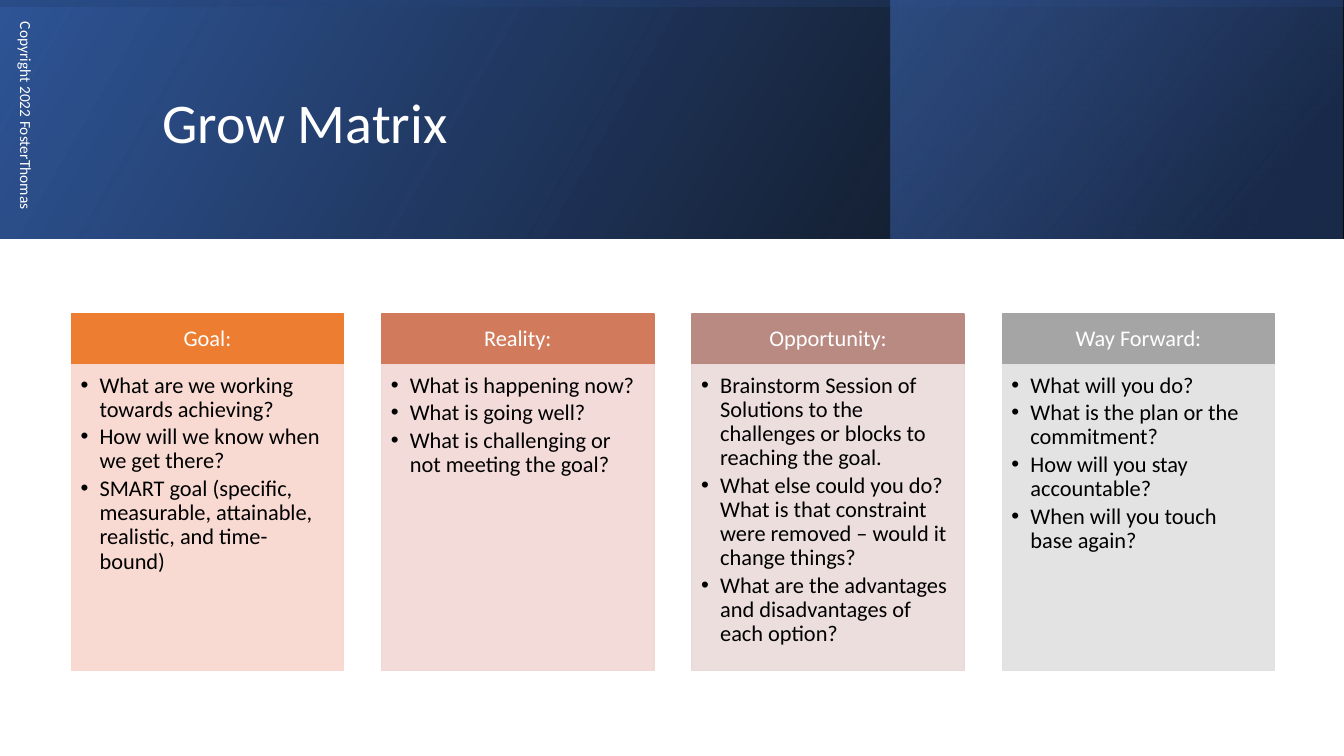
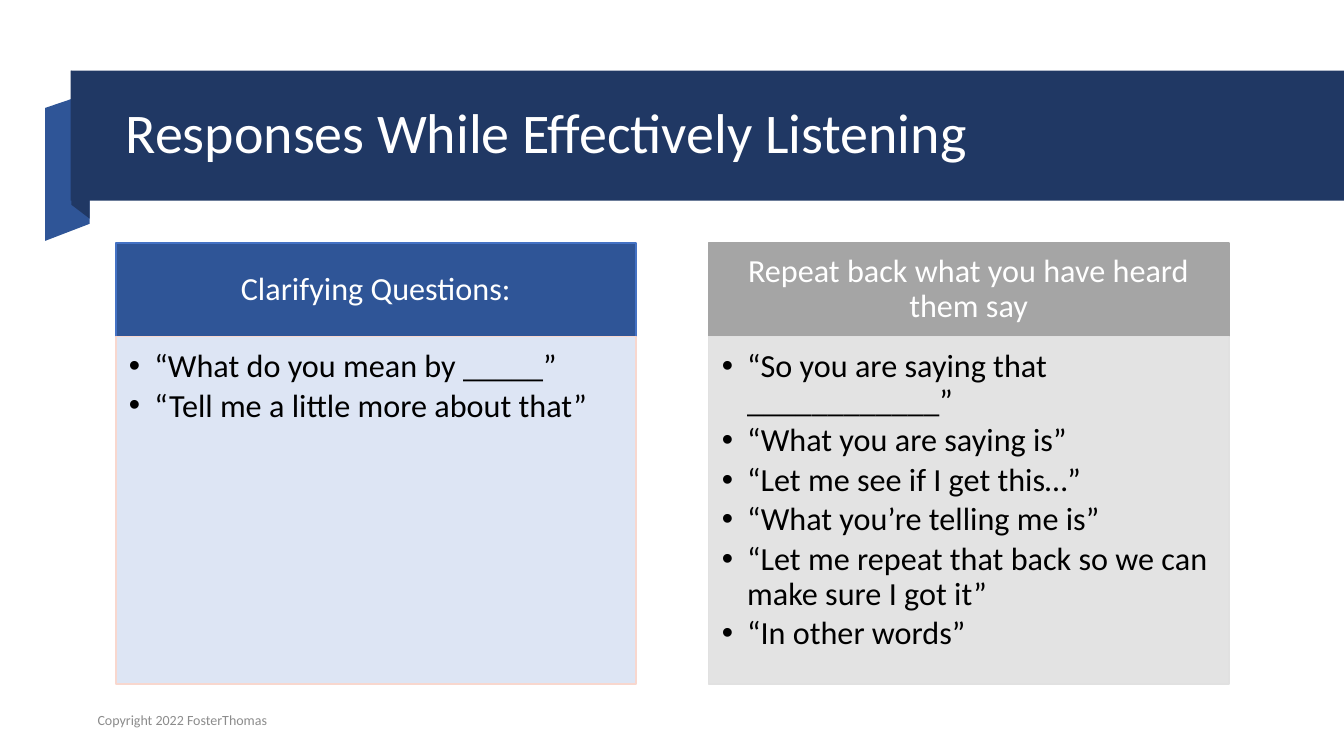
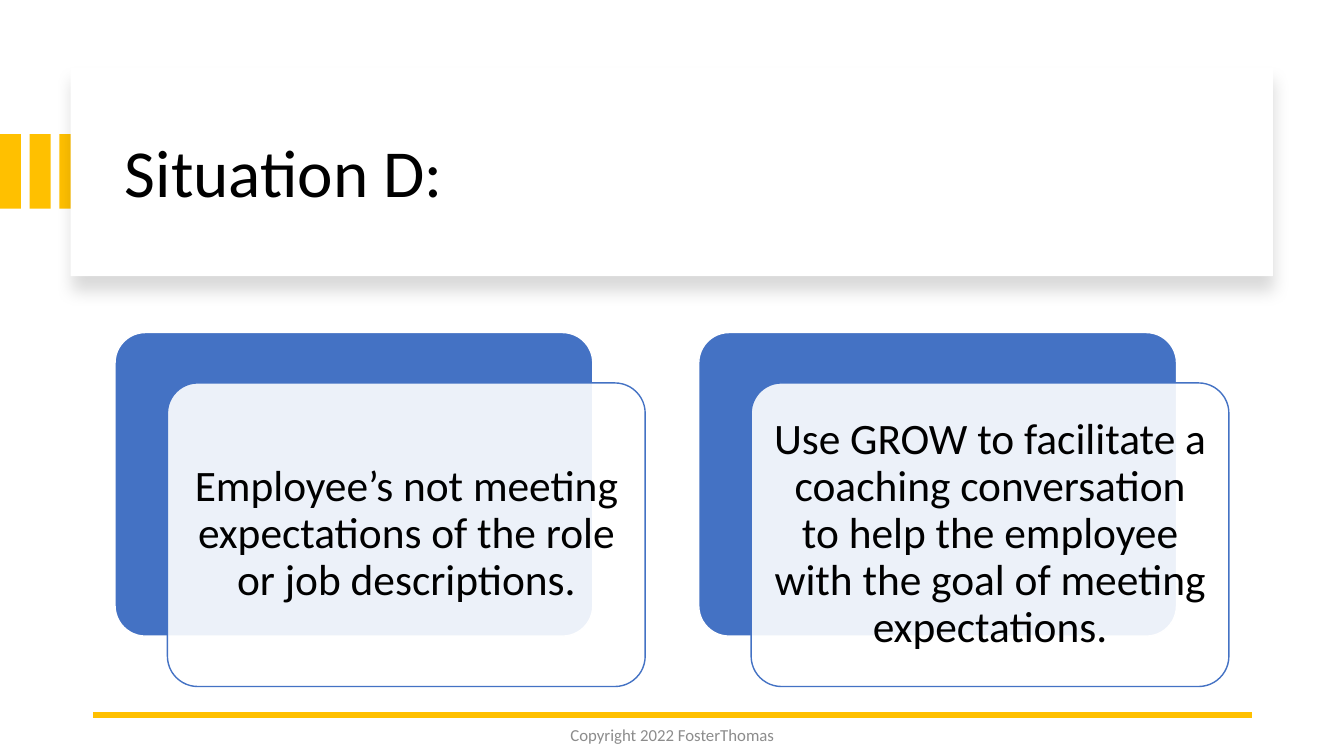
from lxml.etree import SubElement
from pptx import Presentation
from pptx.dml.color import RGBColor
from pptx.enum.shapes import MSO_CONNECTOR, MSO_SHAPE
from pptx.enum.text import MSO_ANCHOR, PP_ALIGN
from pptx.oxml.ns import qn
from pptx.util import Cm, Pt

WIDTH, HEIGHT = 33.87, 19.05
COPYRIGHT = "Copyright 2022 FosterThomas"
NAVY, DEEP_BLUE, BLUE = "203864", "2F5597", "4472C4"
GOLD, GRAY, FOOTER_GRAY = "FFC000", "A5A5A5", "8C8C8C"
WHITE, BLACK = "FFFFFF", "000000"


def rgb(value):
    return RGBColor.from_string(value)


def add_alpha(color, percent):
    SubElement(color, qn("a:alpha"), val=str(percent * 1000))


class Deck:
    font = "Calibri"
    line_spacing = 0.9

    def __init__(self):
        self.presentation = Presentation()
        self.presentation.slide_width = Cm(WIDTH)
        self.presentation.slide_height = Cm(HEIGHT)
        self.slide = None

    def new_slide(self):
        layout = self.presentation.slide_layouts[6]
        self.slide = self.presentation.slides.add_slide(layout)

    def paint(self, shape, fill, line=None, alpha=None):
        shape.shadow.inherit = False
        shape.fill.solid()
        shape.fill.fore_color.rgb = rgb(fill)
        if alpha:
            add_alpha(shape.element.spPr.find(qn("a:solidFill")).find(qn("a:srgbClr")), alpha)
        if line:
            shape.line.color.rgb = rgb(line)
            shape.line.width = Pt(1)
        else:
            shape.line.fill.background()

    def box(self, left, top, width, height, fill, line=None, alpha=None, radius=None):
        kind = MSO_SHAPE.ROUNDED_RECTANGLE if radius else MSO_SHAPE.RECTANGLE
        shape = self.slide.shapes.add_shape(kind, Cm(left), Cm(top), Cm(width), Cm(height))
        if radius:
            shape.adjustments[0] = radius
        self.paint(shape, fill, line, alpha)
        return shape

    def gradient(self, left, top, width, height, stops, angle, rotation=0):
        shape = self.box(left, top, width, height, WHITE)
        shape.element.spPr.find(qn("a:xfrm")).set("flipH", "1")
        shape.rotation = rotation
        shape.fill.gradient()
        shape.fill.gradient_angle = angle
        for stop, (position, color, _) in zip(shape.fill.gradient_stops, stops):
            stop.position = position
            stop.color.rgb = rgb(color)
        colors = shape.element.spPr.find(qn("a:gradFill")).iter(qn("a:srgbClr"))
        for element, (_, _, alpha) in zip(list(colors), stops):
            add_alpha(element, alpha)

    def outline(self, points, fill):
        corners = [(Cm(x), Cm(y)) for x, y in points]
        builder = self.slide.shapes.build_freeform(*corners[0])
        builder.add_line_segments(corners[1:], close=True)
        self.paint(builder.convert_to_shape(), fill)

    def rule(self, start, end, y, color, width):
        line = self.slide.shapes.add_connector(
            MSO_CONNECTOR.STRAIGHT, Cm(start), Cm(y), Cm(end), Cm(y))
        line.line.color.rgb = rgb(color)
        line.line.width = Pt(width)
        SubElement(line.element.spPr, qn("a:effectLst"))

    def fill_text(self, shape, texts, size, color, align=PP_ALIGN.LEFT,
                  anchor=MSO_ANCHOR.MIDDLE, margins=(0.25, 0.13, 0.25, 0.13), indent=None):
        frame = shape.text_frame
        frame.word_wrap = True
        frame.vertical_anchor = anchor
        (frame.margin_left, frame.margin_top,
         frame.margin_right, frame.margin_bottom) = [Cm(margin) for margin in margins]
        for number, text in enumerate(texts):
            paragraph = frame.add_paragraph() if number else frame.paragraphs[0]
            if indent:
                properties = paragraph._p.get_or_add_pPr()
                properties.set("marL", str(Cm(indent)))
                properties.set("indent", str(-Cm(indent)))
                SubElement(properties, qn("a:buFont"), typeface="Arial")
                SubElement(properties, qn("a:buChar"), char="•")
                paragraph.space_after = Pt(0.15 * size)
            paragraph.alignment = align
            paragraph.line_spacing = self.line_spacing
            run = paragraph.add_run()
            run.text = text
            run.font.name = self.font
            run.font.size = Pt(size)
            run.font.color.rgb = rgb(color)

    def text(self, left, top, width, height, text, size, color, align=PP_ALIGN.LEFT, rotation=0):
        shape = self.slide.shapes.add_textbox(Cm(left), Cm(top), Cm(width), Cm(height))
        shape.rotation = rotation
        self.fill_text(shape, [text], size, color, align)

    def card(self, left, top, width, heights, heading, bullets, colors, size, indent):
        header_fill, header_line, body_fill, body_line = colors
        header_height, body_height = heights
        side, edge, near, bottom = [round(size * part, 2) for part in (0.019, 0.011, 0.0145, 0.022)]
        header = self.box(left, top, width, header_height, header_fill, header_line)
        self.fill_text(header, [heading], size, WHITE, PP_ALIGN.CENTER,
                       margins=(side, edge, side, edge))
        body = self.box(left, top + header_height, width, body_height, body_fill, body_line, 90)
        self.fill_text(body, bullets, size, BLACK, anchor=MSO_ANCHOR.TOP,
                       margins=(near, near, side, bottom), indent=indent)

    def soft_shadow(self, shape, alpha, blur, distance):
        effects = shape.element.spPr.find(qn("a:effectLst"))
        shadow = SubElement(effects, qn("a:outerShdw"), blurRad=str(Pt(blur)),
                            dist=str(Pt(distance)), dir="5400000", algn="t", rotWithShape="0")
        add_alpha(SubElement(shadow, qn("a:srgbClr"), val=BLACK), alpha)


def grow_matrix(deck):
    deck.new_slide()
    band = 6.02
    deck.gradient(0, 0, WIDTH, band, [(0, BLACK, 96), (1, DEEP_BLUE, 100)], 30)
    deck.gradient(22.45, 0, 11.38, band, [(0.19, NAVY, 68), (1, BLUE, 48)], 40)
    deck.gradient((WIDTH - band) / 2, (band - WIDTH) / 2, band, WIDTH,
                  [(0.23, DEEP_BLUE, 16), (0.99, BLACK, 45)], 10, 270)
    deck.text(3.84, 0.97, 27, 4.37, "Grow Matrix", 40, WHITE)
    deck.text(-5.08, 5.51, 11.43, 1.02, COPYRIGHT, 11, WHITE, rotation=90)
    cards = [
        ("Goal:", "ED7D31", "F8D7CE", [
            "What are we working towards achieving?",
            "How will we know when we get there?",
            "SMART goal (specific, measurable, attainable, realistic, and time-bound)"]),
        ("Reality:", "D17B5C", "F1D8D4", [
            "What is happening now?",
            "What is going well?",
            "What is challenging or not meeting the goal?"]),
        ("Opportunity:", "B98A82", "E9DBDA", [
            "Brainstorm Session of Solutions to the challenges or blocks to reaching the goal.",
            "What else could you do? What is that constraint were removed – would it change things?",
            "What are the advantages and disadvantages of each option?"]),
        ("Way Forward:", GRAY, "E1E1E1", [
            "What will you do?",
            "What is the plan or the commitment?",
            "How will you stay accountable?",
            "When will you touch base again?"]),
    ]
    for column, (heading, dark, light, bullets) in enumerate(cards):
        deck.card(1.8 + column * 7.82, 7.91, 6.86, (1.28, 7.7), heading, bullets,
                  (dark, dark, light, light), 16, 0.48)


def listening_responses(deck):
    deck.new_slide()
    deck.outline([(2.26, 5.64), (1.14, 6.07), (1.14, 2.72), (2.26, 2.34)], DEEP_BLUE)
    deck.outline([(2.26, 5.51), (1.8, 5.16), (1.8, 1.78), (2.26, 2.16)], NAVY)
    deck.box(1.78, 1.78, WIDTH - 1.78, 3.28, NAVY)
    deck.text(2.92, 2.18, 28.63, 2.44, "Responses While Effectively Listening", 40, WHITE)
    deck.text(2.21, 17.73, 18.77, 0.89, COPYRIGHT, 10, FOOTER_GRAY)
    cards = [
        ("Clarifying Questions:", (DEEP_BLUE, BLUE, "DAE3F3", "F8D7CE"), [
            "“What do you mean by _____”",
            "“Tell me a little more about that”"]),
        ("Repeat back what you have heard them say", (GRAY, GRAY, "E1E1E1", "E1E1E1"), [
            "“So you are saying that ____________”",
            "“What you are saying is”",
            "“Let me see if I get this…”",
            "“What you’re telling me is”",
            "“Let me repeat that back so we can make sure I got it”",
            "“In other words”"]),
    ]
    for column, (heading, colors, bullets) in enumerate(cards):
        deck.card(2.92 + column * 14.94, 6.12, 13.11, (2.36, 8.76), heading, bullets,
                  colors, 23, 0.64)


def situation(deck):
    deck.new_slide()
    for bar in range(3):
        deck.box(bar * 0.75, 3.38, 0.53, 1.88, GOLD)
    panel = deck.box(1.78, 1.7, 30.3, 5.26, WHITE)
    deck.soft_shadow(panel, 15, 11, 10)
    deck.text(2.9, 2.26, 28.27, 4.32, "Situation D:", 48, BLACK)
    deck.rule(31.55, 2.34, 18.01, GOLD, 4.5)
    deck.text(11.23, 18.03, 11.43, 1.02, COPYRIGHT, 12, FOOTER_GRAY, PP_ALIGN.CENTER)
    statements = [
        "Employee’s not meeting expectations of the role or job descriptions.",
        "Use GROW to facilitate a coaching conversation to help the employee "
        "with the goal of meeting expectations.",
    ]
    for column, statement in enumerate(statements):
        left, top = 2.9 + column * 14.71, 8.38
        deck.box(left, top, 12.04, 7.65, BLUE, WHITE, radius=0.1)
        front = deck.box(left + 1.32, top + 1.27, 12.04, 7.65, WHITE, BLUE, 90, 0.1)
        deck.fill_text(front, [statement], 31, BLACK, PP_ALIGN.CENTER, margins=(0.33,) * 4)


def main():
    deck = Deck()
    grow_matrix(deck)
    listening_responses(deck)
    situation(deck)
    deck.presentation.save("out.pptx")


if __name__ == "__main__":
    main()
